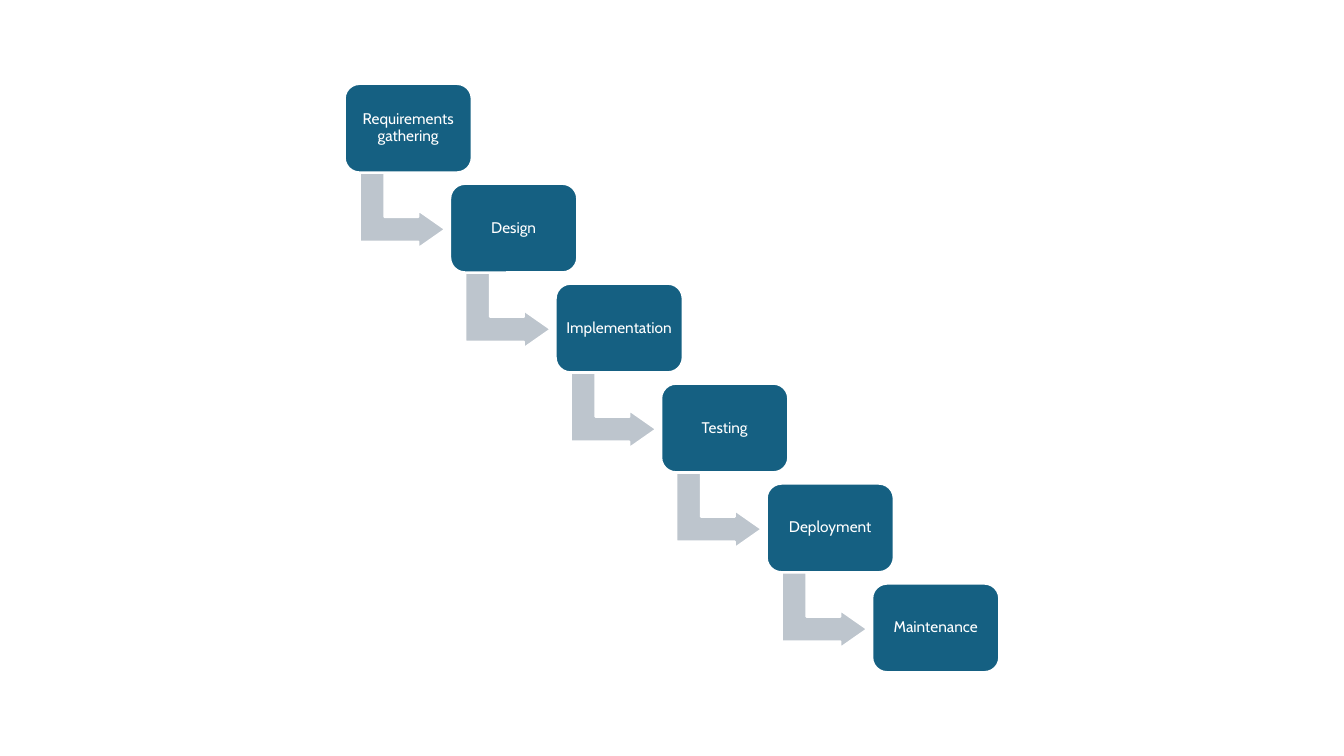
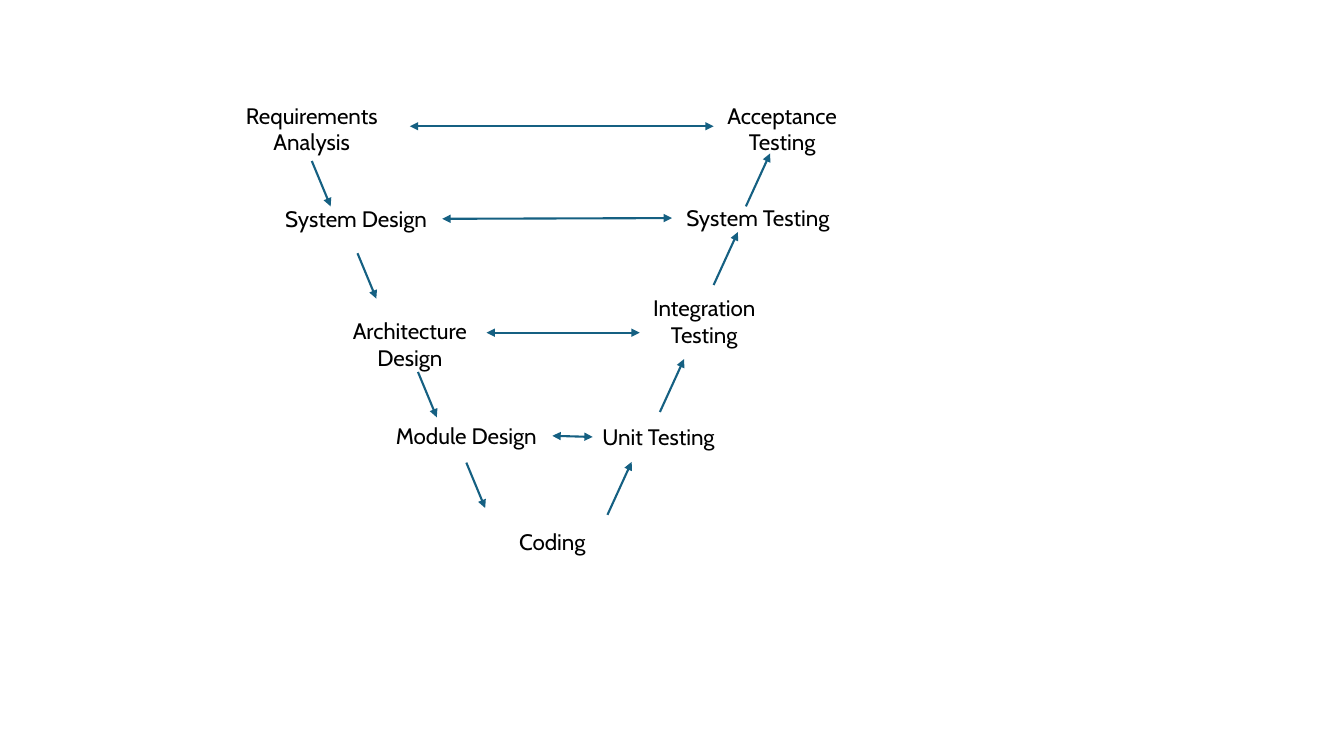
from dataclasses import dataclass
from typing import Optional

from lxml.etree import SubElement
from pptx import Presentation
from pptx.dml.color import RGBColor
from pptx.enum.shapes import MSO_CONNECTOR, MSO_SHAPE
from pptx.enum.text import MSO_ANCHOR, MSO_AUTO_SIZE, PP_ALIGN
from pptx.oxml.ns import qn
from pptx.util import Inches, Pt


@dataclass(frozen=True)
class Theme:
    blue: RGBColor = RGBColor(0x15, 0x60, 0x82)
    grey: RGBColor = RGBColor(0xBD, 0xC5, 0xCD)
    white: RGBColor = RGBColor(0xFF, 0xFF, 0xFF)
    black: RGBColor = RGBColor(0, 0, 0)
    font: str = "Cabin"
    step: Pt = Pt(11)
    phase: Pt = Pt(16)
    line: Pt = Pt(1.5)


@dataclass(frozen=True)
class Phase:
    text: str
    x: float
    y: float
    lines: int = 1


@dataclass(frozen=True)
class Arrow:
    x: float
    y: float
    dx: float
    dy: float = 0
    both: bool = False
    start: Optional[tuple] = None  # phase name, side
    end: Optional[tuple] = None


THEME = Theme()
WIDE, HIGH = Inches(13.33), Inches(7.5)

# Waterfall: places and sizes are percent of the slide
STEPS = ("Requirements gathering", "Design", "Implementation",
         "Testing", "Deployment", "Maintenance")
LEFT, TOP = 25.65, 11.1
COL, ROW = 7.85, 13.22
BOX = (9.45, 11.7)
BEND = (5.6, 11.3)
SHIFT = (1.5, 11.1)

# V-model
SPAN = 12.8
TALL = {1: 4.9, 2: 8.5}
DOWN, UP = (1.4, 6), (1.8, -7)
BOTTOM, RIGHT, LEFTSIDE = 2, 3, 1

PHASES = (
    Phase("Requirements Analysis", 16.8, 12.8, 2),
    Phase("System Design", 20.1, 26.5),
    Phase("Architecture Design", 24.1, 41.3, 2),
    Phase("Module Design", 28.3, 55.2),
    Phase("Coding", 34.7, 69.2),
    Phase("Unit Testing", 42.6, 55.3),
    Phase("Integration Testing", 46, 38.3, 2),
    Phase("System Testing", 50, 26.4),
    Phase("Acceptance Testing", 51.8, 12.8, 2),
)
ARROWS = (
    # Design side
    Arrow(23.2, 21.3, *DOWN, start=("Requirements Analysis", BOTTOM)),
    Arrow(26.6, 33.5, *DOWN),
    Arrow(31.1, 49.2, *DOWN),
    Arrow(34.7, 61.2, *DOWN),
    # Testing side
    Arrow(45.2, 68.1, *UP),
    Arrow(49.1, 54.5, *UP),
    Arrow(53.1, 37.7, *UP),
    Arrow(55.5, 27.3, *UP),
    # Matching levels
    Arrow(41.1, 57.7, 3, 0.1, both=True, start=("Module Design", RIGHT)),
    Arrow(36.2, 44, 11.4, both=True),
    Arrow(32.9, 29, 17.1, -0.1, both=True, start=("System Design", RIGHT),
          end=("System Testing", LEFTSIDE)),
    Arrow(30.5, 16.7, 22.6, both=True),
)


def across(share: float) -> int:
    return round(WIDE * share / 100)


def along(share: float) -> int:
    return round(HIGH * share / 100)


def frame(x: float, y: float, w: float, h: float) -> tuple:
    return across(x), along(y), across(w), along(h)


def write(shape, text: str, size: Pt, color: RGBColor):
    body = shape.text_frame
    body.word_wrap = True
    para = body.paragraphs[0]
    para.alignment = PP_ALIGN.CENTER
    run = para.add_run()
    run.text = text
    run.font.name = THEME.font
    run.font.size = size
    run.font.color.rgb = color
    return body


def block(slide, kind: MSO_SHAPE, place: tuple, fill: RGBColor):
    shape = slide.shapes.add_shape(kind, *place)
    shape.shadow.inherit = False
    shape.fill.solid()
    shape.fill.fore_color.rgb = fill
    shape.line.color.rgb = THEME.white
    shape.line.width = THEME.line
    return shape


def bend(slide, x: float, y: float) -> None:
    shape = block(slide, MSO_SHAPE.BENT_UP_ARROW, frame(x, y, *BEND), THEME.grey)
    shape.rotation = 90
    for i, value in enumerate((0.328, 0.25, 0.358)):
        shape.adjustments[i] = value


def step(slide, text: str, x: float, y: float) -> None:
    shape = block(slide, MSO_SHAPE.ROUNDED_RECTANGLE, frame(x, y, *BOX), THEME.blue)
    shape.adjustments[0] = 0.167
    body = write(shape, text, THEME.step, THEME.white)
    body.vertical_anchor = MSO_ANCHOR.MIDDLE
    body.margin_left = body.margin_right = Inches(0.03)
    body.margin_top = body.margin_bottom = Inches(0.05)
    body.paragraphs[0].line_spacing = 0.9


def label(slide, phase: Phase):
    place = frame(phase.x, phase.y, SPAN, TALL[phase.lines])
    box = slide.shapes.add_textbox(*place)
    body = write(box, phase.text, THEME.phase, THEME.black)
    body.auto_size = MSO_AUTO_SIZE.SHAPE_TO_FIT_TEXT
    return box


def link(slide, arrow: Arrow, boxes: dict) -> None:
    line = slide.shapes.add_connector(
        MSO_CONNECTOR.STRAIGHT, across(arrow.x), along(arrow.y),
        across(arrow.x + arrow.dx), along(arrow.y + arrow.dy))
    line.line.color.rgb = THEME.blue
    line.line.width = THEME.line
    if arrow.start:
        name, side = arrow.start
        line.begin_connect(boxes[name], side)
    if arrow.end:
        name, side = arrow.end
        line.end_connect(boxes[name], side)
    # Arrowheads, and no shadow
    stroke = line.line._get_or_add_ln()
    for tag in ("a:headEnd", "a:tailEnd") if arrow.both else ("a:tailEnd",):
        SubElement(stroke, qn(tag), type="triangle")
    SubElement(line._element.spPr, qn("a:effectLst"))


def cascade(slide) -> None:
    for i, text in enumerate(STEPS):
        x, y = LEFT + i * COL, TOP + i * ROW
        if i < len(STEPS) - 1:
            bend(slide, x + SHIFT[0], y + SHIFT[1])
        step(slide, text, x, y)


def vmodel(slide) -> None:
    boxes = {phase.text: label(slide, phase) for phase in PHASES}
    for arrow in ARROWS:
        link(slide, arrow, boxes)


def main() -> None:
    deck = Presentation()
    deck.slide_width, deck.slide_height = WIDE, HIGH
    blank = deck.slide_layouts[6]
    for draw in (cascade, vmodel):
        draw(deck.slides.add_slide(blank))
    deck.save("out.pptx")


if __name__ == "__main__":
    main()
